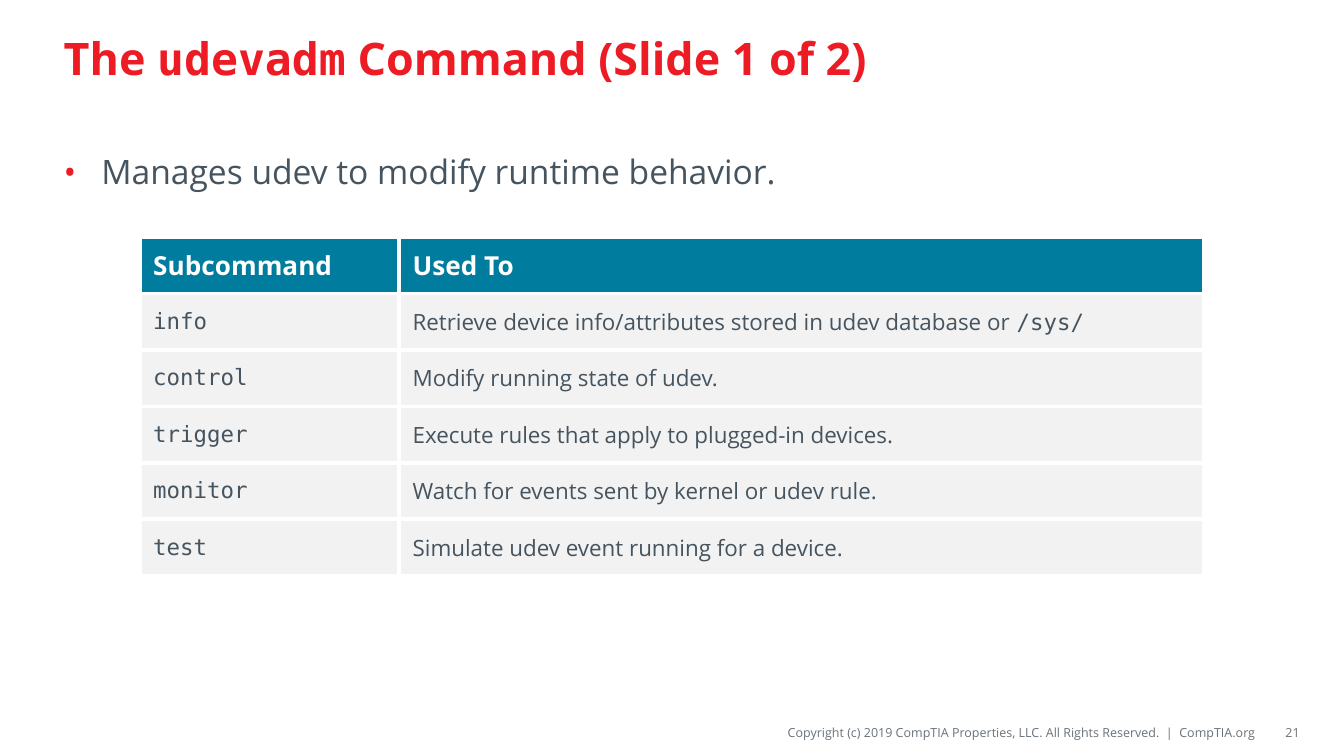
from itertools import product

from lxml import etree
from pptx import Presentation
from pptx.dml.color import RGBColor
from pptx.enum import text
from pptx.oxml import ns
from pptx.util import Emu, Pt

SCALE = 4572
SANS, MONO = "Open Sans", "DejaVu Sans Mono"
INK = {"red": "ED1C24", "slate": "45545F", "gray": "69727B", "teal": "007C9E",
       "pale": "F2F2F2", "white": "FFFFFF"}
MID, TOP = text.MSO_ANCHOR.MIDDLE, text.MSO_ANCHOR.TOP
LEFT, RIGHT = text.PP_ALIGN.LEFT, text.PP_ALIGN.RIGHT
FORM = {
    "title": {"size": Pt(24), "bold": True, "color": "red"},
    "body": {"size": Pt(18), "bold": False, "color": "slate"},
    "head": {"size": Pt(14), "bold": True, "color": "white"},
    "cell": {"size": Pt(12), "bold": False, "color": "slate"},
    "foot": {"size": Pt(6.75), "bold": False, "color": "gray"},
}
ROWS = [
    ("Subcommand", "Used To"),
    ("`info`", "Retrieve device info/attributes stored in udev database or `/sys/`"),
    ("`control`", "Modify running state of udev."),
    ("`trigger`", "Execute rules that apply to plugged-in devices."),
    ("`monitor`", "Watch for events sent by kernel or udev rule."),
    ("`test`", "Simulate udev event running for a device."),
]


def px(n):
    """Turn px into EMU."""
    return Emu(n * SCALE)


def style(item, form):
    """Set each attribute of an item from a dict."""
    for key, val in form.items():
        setattr(item, key, val)


def write(para, words, kind):
    """Write runs, with the parts between backticks in the mono font."""
    form = dict(FORM[kind])
    color = RGBColor.from_string(INK[form.pop("color")])
    for i, part in enumerate(words.split("`")):
        if part:
            run = para.add_run()
            run.text = part
            style(run.font, {**form, "name": MONO if i % 2 else SANS})
            run.font.color.rgb = color


def label(slide, box, words, kind, pad=(20, 10, 20, 10), anchor=MID, align=LEFT):
    """Add a text box and return its paragraph."""
    frame = slide.shapes.add_textbox(*map(px, box)).text_frame
    sides = ("margin_left", "margin_top", "margin_right", "margin_bottom")
    style(frame, {"word_wrap": True, "vertical_anchor": anchor,
                  **dict(zip(sides, map(px, pad)))})
    para = frame.paragraphs[0]
    para.alignment = align
    write(para, words, kind)
    return para


def bullet(slide, box, words):
    """Add a text box with one red bullet."""
    para = label(slide, box, words, "body", anchor=TOP)
    props = para._p.get_or_add_pPr()
    props.set("marL", str(px(56)))
    props.set("indent", str(px(-56)))
    tint = etree.SubElement(props, ns.qn("a:buClr"))
    etree.SubElement(tint, ns.qn("a:srgbClr"), val=INK["red"])
    etree.SubElement(props, ns.qn("a:buFont"), typeface=SANS)
    etree.SubElement(props, ns.qn("a:buChar"), char="•")


def border(cell):
    """Give a cell white lines on all sides."""
    props = cell._tc.get_or_add_tcPr()
    for side in "LRTB":
        line = etree.SubElement(props, ns.qn("a:ln" + side), w=str(Pt(2.25)))
        fill = etree.SubElement(line, ns.qn("a:solidFill"))
        etree.SubElement(fill, ns.qn("a:srgbClr"), val=INK["white"])


def grid(slide, box, rows, first):
    """Add the command table with a first column of the given width."""
    table = slide.shapes.add_table(len(rows), 2, *map(px, box)).table
    for col, wide in zip(table.columns, (first, box[2] - first)):
        col.width = px(wide)
    for r, c in product(range(len(rows)), range(2)):
        cell = table.cell(r, c)
        cell.vertical_anchor = MID
        border(cell)
        cell.fill.solid()
        cell.fill.fore_color.rgb = RGBColor.from_string(INK["pale" if r else "teal"])
        write(cell.text_frame.paragraphs[0], rows[r][c], "cell" if r else "head")


def footer(slide, box, words, page):
    """Add the copyright line and the page number."""
    x, y, w, h = box
    num = 58
    label(slide, (x, y, w - num - 6, h), words, "foot", (0, 8, 0, 8), align=RIGHT)
    label(slide, (x + w - num, y, num, h), page, "foot", (20, 10, 0, 10), align=RIGHT)


def main():
    """Build and save the slide."""
    deck = Presentation()
    style(deck, {"slide_width": px(2000), "slide_height": px(1125)})
    slide = deck.slides.add_slide(deck.slide_layouts[6])
    footer(slide, (776, 1068, 1158, 44),
           "Copyright (c) 2019 CompTIA Properties, LLC. All Rights Reserved.  |  CompTIA.org",
           "21")
    label(slide, (75, 16, 1850, 138), "The `udevadm` Command (Slide 1 of 2)", "title")
    bullet(slide, (75, 215, 1850, 780), "Manages udev to modify runtime behavior.")
    grid(slide, (208, 353, 1584, 504), ROWS, 386)
    deck.save("out.pptx")


if __name__ == "__main__":
    main()
